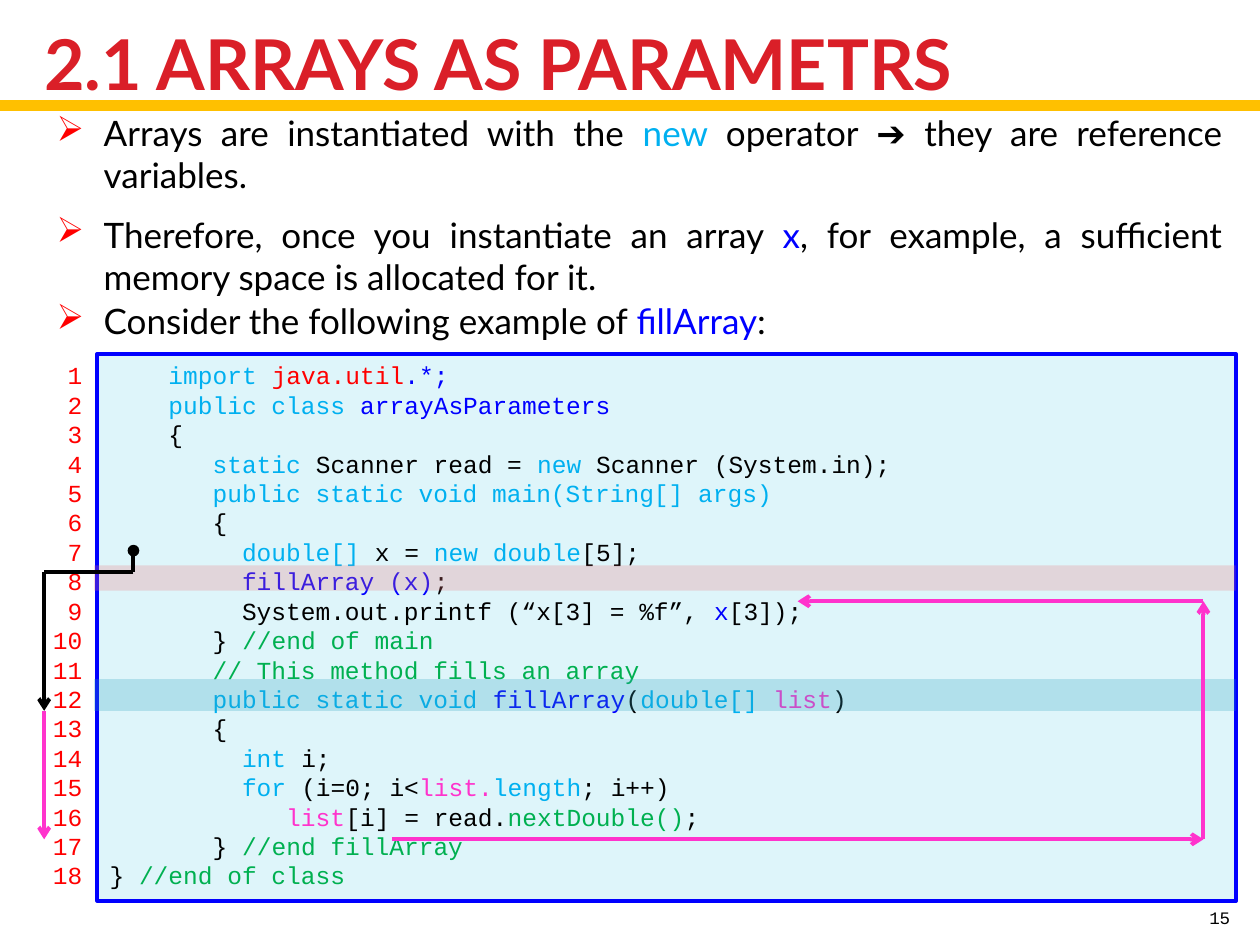
from dataclasses import dataclass

from lxml import etree
from pptx import Presentation
from pptx.dml.color import RGBColor
from pptx.enum.shapes import MSO_CONNECTOR, MSO_SHAPE
from pptx.enum.text import MSO_ANCHOR, MSO_AUTO_SIZE, PP_ALIGN
from pptx.oxml.ns import qn
from pptx.util import Cm, Pt

RECTANGLE = MSO_SHAPE.RECTANGLE
STRAIGHT = MSO_CONNECTOR.STRAIGHT
TOP, MIDDLE, BOTTOM = MSO_ANCHOR.TOP, MSO_ANCHOR.MIDDLE, MSO_ANCHOR.BOTTOM
NO_FIT = MSO_AUTO_SIZE.NONE
LEFT, RIGHT, JUSTIFY = PP_ALIGN.LEFT, PP_ALIGN.RIGHT, PP_ALIGN.JUSTIFY

BLACK = RGBColor(0x00, 0x00, 0x00)
RED = RGBColor(0xFF, 0x00, 0x00)
BLUE = RGBColor(0x00, 0x00, 0xFF)
SKY = RGBColor(0x00, 0xB0, 0xF0)
GREEN = RGBColor(0x00, 0xB0, 0x50)
PINK = RGBColor(0xFF, 0x33, 0xCC)
GOLD = RGBColor(0xFF, 0xC0, 0x00)
TITLE_RED = RGBColor(0xDA, 0x1F, 0x28)
CODE_FILL = RGBColor(0xDE, 0xF5, 0xFA)
TEAL = RGBColor(0x2D, 0xA2, 0xBF)
ROSE = RGBColor(0xEC, 0x76, 0x7C)

BODY_FONT = "Lato"
CODE_FONT = "Courier New"
CODE_SIZE = 14
CODE_PITCH = Pt(16.8)
CODE_TOP, CODE_HEIGHT = 7.14, 11.02

Spans = list[tuple[str, RGBColor]]


@dataclass(frozen=True)
class Area:
    left: float
    top: float
    width: float
    height: float

    def lengths(self) -> tuple:
        return Cm(self.left), Cm(self.top), Cm(self.width), Cm(self.height)


@dataclass(frozen=True)
class Bullet:
    top: float
    height: float
    spans: Spans


@dataclass(frozen=True)
class Highlight:
    top: float
    height: float
    color: RGBColor


@dataclass(frozen=True)
class Line:
    start: tuple[float, float]
    end: tuple[float, float]
    color: RGBColor
    head: str = ""
    weight: float = 2.25


BULLETS = [
    Bullet(2.13, 1.96, [("Arrays are instantiated with the ", BLACK), ("new ", SKY),
                        ("operator ➔ they are reference variables.", BLACK)]),
    Bullet(4.17, 1.96, [("Therefore, once you instantiate an array ", BLACK), ("x", BLUE),
                        (", for example, a sufficient memory space is allocated for it.", BLACK)]),
    Bullet(5.92, 1.12, [("Consider the following example of ", BLACK), ("fillArray", BLUE),
                        (":", BLACK)]),
]

CODE: list[Spans] = [
    [("    import ", SKY), ("java.util", RED), (".*;", BLUE)],
    [("    public class ", SKY), ("arrayAsParameters", BLUE)],
    [("    {", BLACK)],
    [("       static ", SKY), ("Scanner read = ", BLACK), ("new ", SKY),
     ("Scanner (System.in);", BLACK)],
    [("       public static void main(String[] args)", SKY)],
    [("       {", BLACK)],
    [("         double[]", SKY), (" x = ", BLACK), ("new double", SKY), ("[5];", BLACK)],
    [("         fillArray (x)", BLUE), (";", BLACK)],
    [("         System.out.printf (“x[3] = %f”, ", BLACK), ("x", BLUE), ("[3]);", BLACK)],
    [("       } ", BLACK), ("//end of main", GREEN)],
    [("       // This method fills an array", GREEN)],
    [("       public static void ", SKY), ("fillArray", BLUE), ("(", BLACK),
     ("double[] ", SKY), ("list", PINK), (")", BLACK)],
    [("       {", BLACK)],
    [("         int ", SKY), ("i;", BLACK)],
    [("         for ", SKY), ("(i=0; i<", BLACK), ("list.", PINK), ("length", SKY),
     ("; i++)", BLACK)],
    [("            list", PINK), ("[i] = read.", BLACK), ("nextDouble()", GREEN), (";", BLACK)],
    [("       }", BLACK), (" //end fillArray", GREEN)],
    [("} ", BLACK), ("//end of class", GREEN)],
]

HIGHLIGHTS = [Highlight(13.69, 0.64, TEAL), Highlight(11.4, 0.51, ROSE)]

TITLE_RULE = Line((0, 2.13), (25.4, 2.13), GOLD, weight=6)
FLOW = [
    Line((2.69, 11.53), (2.69, 11.1), BLACK, "oval"),
    Line((2.69, 11.53), (0.89, 11.53), BLACK),
    Line((0.89, 11.53), (0.89, 14.33), BLACK, "arrow"),
    Line((0.89, 14.33), (0.89, 16.92), PINK, "arrow"),
    Line((7.9, 16.92), (24.26, 16.92), PINK, "arrow"),
    Line((24.26, 16.92), (24.26, 12.12), PINK, "arrow"),
    Line((24.26, 12.12), (16.08, 12.12), PINK, "arrow"),
]


def write(shape, lines: list[Spans], font: str, size: float, align=LEFT,
          anchor=TOP, bold: bool = False, pitch=None) -> None:
    frame = shape.text_frame
    frame.word_wrap = True
    frame.auto_size = NO_FIT
    frame.vertical_anchor = anchor
    for index, spans in enumerate(lines):
        para = frame.add_paragraph() if index else frame.paragraphs[0]
        para.alignment = align
        if pitch:
            para.line_spacing = pitch
        for text, color in spans:
            span = para.add_run()
            span.text = text
            span.font.name = font
            span.font.size = Pt(size)
            span.font.bold = bold
            span.font.color.rgb = color


def add_bullet(page, bullet: Bullet) -> None:
    box = page.shapes.add_textbox(*Area(0.89, bullet.top, 24, bullet.height).lengths())
    properties = box.text_frame.paragraphs[0]._p.get_or_add_pPr()
    properties.set("marL", str(Cm(0.95)))
    properties.set("indent", str(-Cm(0.95)))
    color = etree.SubElement(properties, qn("a:buClr"))
    etree.SubElement(color, qn("a:srgbClr"), val=str(RED))
    etree.SubElement(properties, qn("a:buChar"), char="➢")
    write(box, [bullet.spans], BODY_FONT, 20, JUSTIFY)


def add_rectangle(page, area: Area, fill: RGBColor):
    box = page.shapes.add_shape(RECTANGLE, *area.lengths())
    box.shadow.inherit = False
    box.fill.solid()
    box.fill.fore_color.rgb = fill
    box.line.fill.background()
    return box


def add_highlight(page, highlight: Highlight) -> None:
    area = Area(1.9, highlight.top, 23.01, highlight.height)
    box = add_rectangle(page, area, highlight.color)
    color = box._element.spPr.find(qn("a:solidFill")).find(qn("a:srgbClr"))
    etree.SubElement(color, qn("a:alpha"), val="25000")


def add_line(page, line: Line) -> None:
    points = [Cm(value) for value in line.start + line.end]
    connector = page.shapes.add_connector(STRAIGHT, *points)
    connector.line.color.rgb = line.color
    connector.line.width = Pt(line.weight)
    if line.head:
        etree.SubElement(connector.line._get_or_add_ln(), qn("a:tailEnd"), type=line.head)
    etree.SubElement(connector._element.spPr, qn("a:effectLst"))


def main() -> None:
    deck = Presentation()
    deck.slide_width, deck.slide_height = Cm(25.4), Cm(19.05)
    page = deck.slides.add_slide(deck.slide_layouts[5])

    add_line(page, TITLE_RULE)
    title = page.shapes.title
    title.left, title.top, title.width, title.height = Area(0.64, 0.43, 24.05, 1.65).lengths()
    write(title, [[("2.1 ARRAYS AS PARAMETRS", TITLE_RED)]], BODY_FONT, 40,
          anchor=MIDDLE, bold=True)

    page_number = page.shapes.add_textbox(*Area(24.03, 17.81, 1.02, 1.02).lengths())
    write(page_number, [[("15", BLACK)]], CODE_FONT, 10, RIGHT, BOTTOM)

    for bullet in BULLETS:
        add_bullet(page, bullet)

    code_box = add_rectangle(page, Area(1.96, CODE_TOP, 22.96, CODE_HEIGHT), CODE_FILL)
    code_box.line.color.rgb = BLUE
    code_box.line.width = Pt(2.25)
    write(code_box, CODE, CODE_FONT, CODE_SIZE, pitch=CODE_PITCH)

    line_numbers = page.shapes.add_textbox(*Area(0.51, CODE_TOP, 1.4, CODE_HEIGHT).lengths())
    numbers = [[(str(number), RED)] for number in range(1, len(CODE) + 1)]
    write(line_numbers, numbers, CODE_FONT, CODE_SIZE, RIGHT, pitch=CODE_PITCH)

    for highlight in HIGHLIGHTS:
        add_highlight(page, highlight)
    for line in FLOW:
        add_line(page, line)

    deck.save("out.pptx")


if __name__ == "__main__":
    main()
